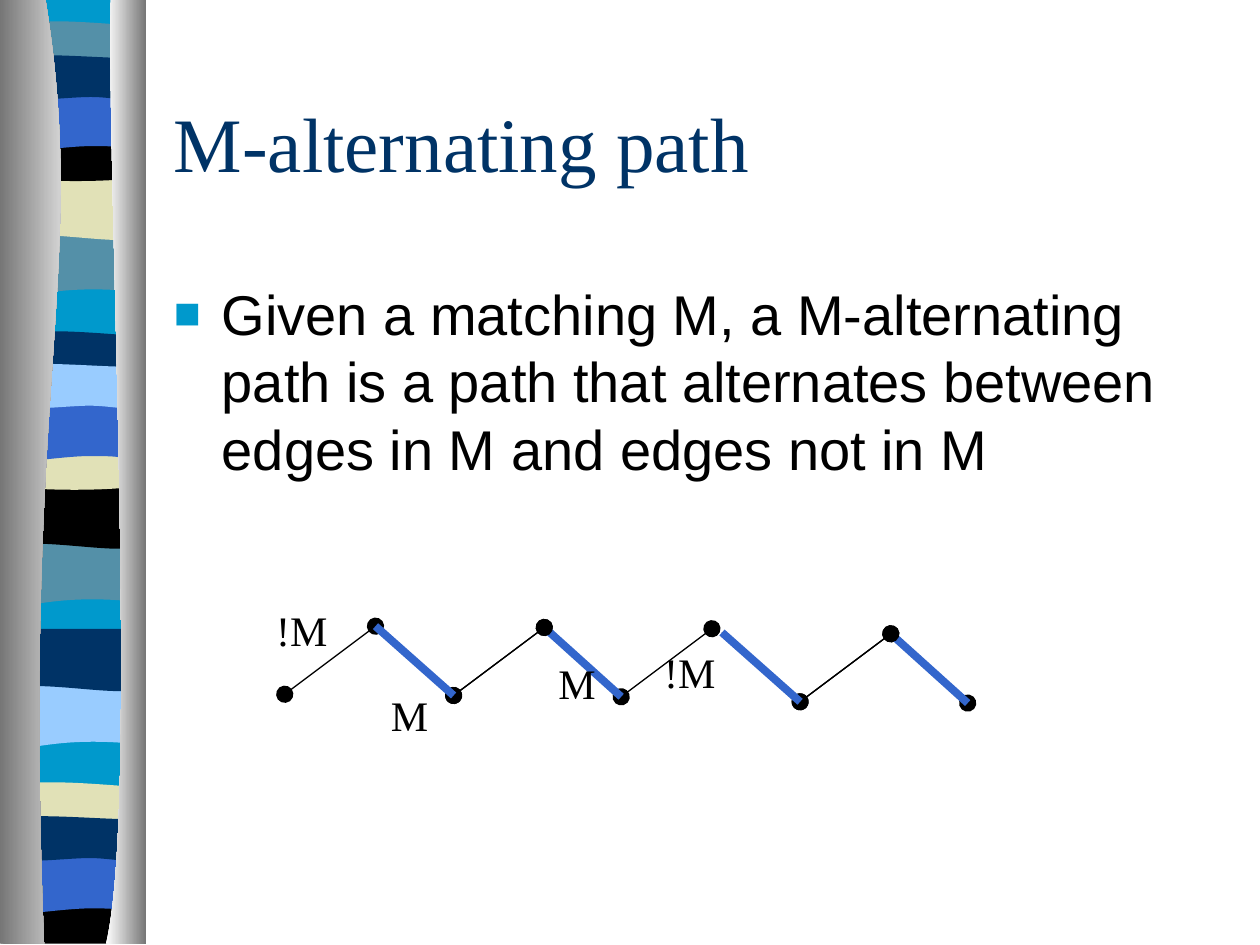
"""Build the M-alternating path slide."""
from typing import NamedTuple

from lxml import etree
from pptx import Presentation
from pptx.dml.color import RGBColor
from pptx.enum.shapes import MSO_CONNECTOR
from pptx.enum.text import MSO_ANCHOR, PP_ALIGN
from pptx.oxml.ns import qn
from pptx.util import Inches, Pt

STRAIGHT = MSO_CONNECTOR.STRAIGHT
MIDDLE, TOP = MSO_ANCHOR.MIDDLE, MSO_ANCHOR.TOP
LEFT, CENTER = PP_ALIGN.LEFT, PP_ALIGN.CENTER
SERIF, SANS = "Times New Roman", "Arial"
CYAN, TEAL, NAVY, BLUE = "0099CC", "5490A8", "003366", "3366CC"
BLACK, SAND, SKY, WHITE, GREY = "000000", "E1E1B7", "99CCFF", "FFFFFF", "767676"
BAND_WIDTH, SLIDE_BOTTOM = 1.08, 7.49

Point = tuple[float, float]


class Motif(NamedTuple):
    height: float
    bottom: list[Point]
    top: list[Point]


class Band(NamedTuple):
    motif: Motif
    left: float
    top: float
    color: str


class Edge(NamedTuple):
    start: Point
    end: Point
    color: str
    dots: list[str]


class Label(NamedTuple):
    text: str
    left: float
    top: float
    width: float


FLAT = [(0, 0)]
SAG = [(0.9, 0.05), (0.18, 0.05), (0, 0)]
DIP = [(0.66, 0.05), (0.85, 0), (1.08, 0)]
BASE = Motif(7.48, FLAT, [(1.08, 0)])
WAVE = Motif(0.47, [(0.33, -0.08), (0.18, 0.08), (0, 0)], [(1.08, 0)])
SLOPE = Motif(0.47, [(0.9, 0.08), (0.33, -0.06), (0, 0)], [(1.08, 0)])
ARCH = Motif(0.47, [(0.91, -0.05), (0.84, -0.05), (0.66, -0.05),
                    (0.48, -0.05), (0.16, 0), (0, 0)], [(1.08, 0)])
CREST = Motif(0.24, SAG, [(0.06, -0.05), (0.23, -0.04), (0.41, -0.04),
                          (0.59, -0.04), (0.94, -0.01), (1.08, 0)])
LIFT = Motif(0.31, [(1.01, 0.05), (0.84, 0), (0.66, 0),
                    (0.48, 0), (0.11, 0.05), (0, 0)],
             [(0.15, -0.05), (0.73, 0), (0.91, 0),
              (1.09, 0), (1.04, 0), (1.08, 0)])
BOWL = Motif(0.32, SAG, DIP)
FOOT = Motif(0.37, FLAT, DIP)

BANDS = [
    Band(BASE, 0.06, -0.01, CYAN), Band(WAVE, 0.06, 1.85, TEAL),
    Band(SLOPE, 0.06, 1.41, SAND), Band(CREST, 0.06, 0.21, TEAL),
    Band(BOWL, 0.06, 1.08, BLACK), Band(ARCH, 0.06, 0.74, BLUE),
    Band(LIFT, 0.06, 0.46, NAVY), Band(WAVE, 0.05, 4.31, TEAL),
    Band(SLOPE, 0.05, 3.86, BLACK), Band(CREST, 0.05, 2.67, NAVY),
    Band(BOWL, 0.05, 3.53, SAND), Band(ARCH, 0.05, 3.2, BLUE),
    Band(LIFT, 0.05, 2.91, SKY), Band(WAVE, 0.06, 5.44, SKY),
    Band(SLOPE, 0.06, 4.99, NAVY), Band(CREST, 0.05, 6.25, SAND),
    Band(FOOT, 0.05, 7.12, BLACK), Band(ARCH, 0.05, 6.79, BLUE),
    Band(LIFT, 0.05, 6.5, NAVY),
]
LEFT_CURVE = [(0.36, -0.01), (0.71, 2.16), (0.17, 2.96), (0.35, SLIDE_BOTTOM)]
RIGHT_CURVE = [(0.88, -0.01), (0.84, 1.25), (1.11, 6.46), (0.84, SLIDE_BOTTOM)]

A, B, C, D, E, F = ((2.26, 5.51), (2.98, 4.97), (3.6, 5.52),
                    (4.32, 4.98), (4.93, 5.53), (5.65, 4.99))
G, H, I, J = (5.73, 5.02), (6.35, 5.57), (7.07, 5.03), (7.68, 5.58)
TAIL, BOTH = ["tailEnd"], ["headEnd", "tailEnd"]
EDGES = [
    Edge(H, I, BLACK, BOTH), Edge(I, J, BLACK, TAIL), Edge(G, H, BLACK, TAIL),
    Edge(C, D, BLACK, BOTH), Edge(D, E, BLACK, TAIL), Edge(E, F, BLACK, TAIL),
    Edge(D, E, BLUE, []),
    Edge(A, B, BLACK, BOTH), Edge(B, C, BLACK, TAIL), Edge(C, D, BLACK, TAIL),
    Edge(B, C, BLUE, []),
    Edge(I, J, BLUE, []), Edge(H, I, BLACK, TAIL), Edge(G, H, BLUE, []),
]
LABELS = [Label("M", 3, 5.42, 0.5), Label("!M", 5.17, 5.08, 0.61),
          Label("!M", 2.09, 4.75, 0.61), Label("M", 4.33, 5.17, 0.5)]


def rgb(color: str) -> RGBColor:
    return RGBColor.from_string(color)


def add_outline(shapes, start: Point, segments: list[list[Point]]):
    """Draw one-point segments as lines and three-point groups as curves."""
    builder = shapes.build_freeform(*[Inches(v) for v in start])
    builder.add_line_segments(
        [(Inches(x), Inches(y)) for seg in segments for x, y in seg])
    sp = builder.convert_to_shape()
    lines = iter(sp._element.findall(".//" + qn("a:lnTo")))
    for seg in segments:
        if len(seg) == 1:
            next(lines)
            continue
        for _ in range(len(seg) // 3):
            first, *others = [next(lines) for _ in range(3)]
            first.tag = qn("a:cubicBezTo")
            for other in others:
                first.append(other[0])
                other.getparent().remove(other)
    sp.shadow.inherit = False
    sp.line.fill.background()
    return sp


def add_band(shapes, band: Band) -> None:
    motif, left, top, color = band
    base, right = top + motif.height, left + BAND_WIDTH
    segments = [[(right, base)],
                [(left + x, base + y) for x, y in motif.bottom],
                [(left, top)],
                [(left + x, top + y) for x, y in motif.top]]
    sp = add_outline(shapes, (right, top), segments)
    sp.fill.solid()
    sp.fill.fore_color.rgb = rgb(color)


def add_panel(shapes, curve: list[Point], side: float, colors: list[str]) -> None:
    start, *rest = curve
    sp = add_outline(shapes, start, [rest, [(side, SLIDE_BOTTOM)], [(side, -0.01)]])
    sp.fill.gradient()
    sp.fill.gradient_angle = 0
    for stop, color in zip(sp.fill.gradient_stops, colors):
        stop.color.rgb = rgb(color)


def add_edge(shapes, edge: Edge) -> None:
    line = shapes.add_connector(
        STRAIGHT, *[Inches(v) for v in edge.start + edge.end])
    line.line.color.rgb = rgb(edge.color)
    line.line.width = Pt(0.75 if edge.dots else 4.5)
    sp_pr = line._element.spPr
    for end in edge.dots:
        etree.SubElement(sp_pr.find(qn("a:ln")), qn(f"a:{end}"),
                         type="oval", w="lg", len="lg")
    etree.SubElement(sp_pr, qn("a:effectLst"))


def set_text(sp, text: str, size: float, font: str, color: str,
             align: PP_ALIGN, anchor: MSO_ANCHOR) -> None:
    tf = sp.text_frame
    tf.text = text
    tf.word_wrap = True
    tf.vertical_anchor = anchor
    p = tf.paragraphs[0]
    p.alignment = align
    p.space_before = Pt(0)
    r = p.runs[0]
    r.font.size, r.font.name = Pt(size), font
    r.font.color.rgb = rgb(color)


def place(sp, left: float, top: float, width: float, height: float) -> None:
    sp.left, sp.top = Inches(left), Inches(top)
    sp.width, sp.height = Inches(width), Inches(height)


def add_bullet(p, char: str, color: str, indent: float) -> None:
    p_pr = p._p.get_or_add_pPr()
    p_pr.set("marL", str(Inches(indent)))
    p_pr.set("indent", str(-Inches(indent)))
    clr = etree.SubElement(p_pr, qn("a:buClr"))
    etree.SubElement(clr, qn("a:srgbClr"), val=color)
    etree.SubElement(p_pr, qn("a:buSzPct"), val="80000")
    etree.SubElement(p_pr, qn("a:buChar"), char=char)


def main() -> None:
    prs = Presentation()
    prs.slide_width, prs.slide_height = Inches(10), Inches(7.5)
    s = prs.slides.add_slide(prs.slide_layouts[1])
    title, body = s.placeholders
    for band in BANDS:
        add_band(s.shapes, band)
    add_panel(s.shapes, LEFT_CURVE, 0, [GREY, WHITE])
    add_panel(s.shapes, RIGHT_CURVE, 1.16, [WHITE, GREY])
    s.shapes._spTree.extend([title._element, body._element])
    place(title, 1.28, 0.5, 8.5, 1.25)
    set_text(title, "M-alternating path", 44, SERIF, NAVY, LEFT, MIDDLE)
    place(body, 1.28, 2.17, 8.5, 1.92)
    set_text(body, "Given a matching M, a M-alternating path is a path that "
             "alternates between edges in M and edges not in M",
             32, SANS, BLACK, LEFT, TOP)
    add_bullet(body.text_frame.paragraphs[0], "■", CYAN, 0.38)
    for edge in EDGES:
        add_edge(s.shapes, edge)
    for label in LABELS:
        sp = s.shapes.add_textbox(0, 0, 0, 0)
        place(sp, label.left, label.top, label.width, 0.5)
        set_text(sp, label.text, 24, SERIF, BLACK, CENTER, TOP)
    prs.save("out.pptx")


if __name__ == "__main__":
    main()
